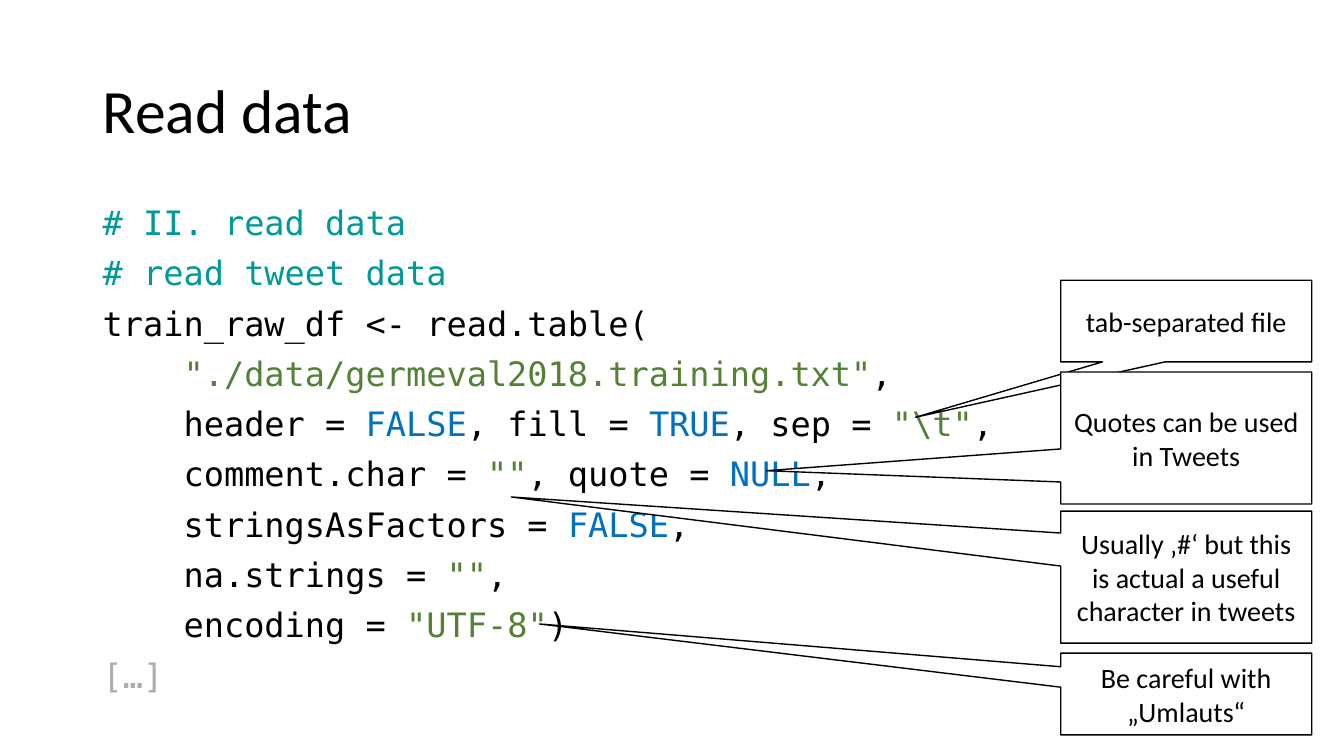
"""Build the "Read data" slide: an R listing with four explanatory callouts."""
from pptx import Presentation
from pptx.dml.color import RGBColor
from pptx.enum.shapes import MSO_SHAPE
from pptx.enum.text import MSO_ANCHOR, PP_ALIGN
from pptx.util import Inches, Pt

CALLOUT = MSO_SHAPE.RECTANGULAR_CALLOUT
TOP, MIDDLE = MSO_ANCHOR.TOP, MSO_ANCHOR.MIDDLE
LEFT, CENTER = PP_ALIGN.LEFT, PP_ALIGN.CENTER
BLACK = RGBColor(0x00, 0x00, 0x00)
WHITE = RGBColor(0xFF, 0xFF, 0xFF)
COMMENT = RGBColor(0x00, 0x99, 0x99)
STRING = RGBColor(0x54, 0x82, 0x35)
CONSTANT = RGBColor(0x00, 0x70, 0xC0)
MUTED = RGBColor(0xAF, 0xAB, 0xAB)

TITLE = [[("Read data", BLACK)]]
CODE = [
    [("# II. read data", COMMENT)],
    [("# read tweet data", COMMENT)],
    [("train_raw_df <- read.table(", BLACK)],
    [('    "./data/germeval2018.training.txt"', STRING), (",", BLACK)],
    [("    header = ", BLACK), ("FALSE", CONSTANT), (", fill = ", BLACK),
     ("TRUE", CONSTANT), (", sep = ", BLACK), ('"\\t"', STRING), (",", BLACK)],
    [("    comment.char = ", BLACK), ('""', STRING), (", quote = ", BLACK),
     ("NULL", CONSTANT), (",", BLACK)],
    [("    stringsAsFactors = ", BLACK), ("FALSE", CONSTANT), (",", BLACK)],
    [("    na.strings = ", BLACK), ('""', STRING), (",", BLACK)],
    [("    encoding = ", BLACK), ('"UTF-8"', STRING), (")", BLACK)],
    [("[…]", MUTED)],
]
TITLE_FONT = {"name": "Calibri", "size": Pt(44)}
CODE_FONT = {"name": "DejaVu Sans Mono", "size": Pt(24)}
NOTE_FONT = {"name": "Calibri", "size": Pt(20)}

NOTE_LEFT, NOTE_WIDTH = 10.52, 2.49
NOTES = [
    {"text": "Usually ‚#‘ but this is actual a useful character in tweets",
     "top": 5.07, "height": 1.31, "tip": (5.07, 4.93)},
    {"text": "tab-separated file",
     "top": 2.78, "height": 0.81, "tip": (9.08, 4.14)},
    {"text": "Quotes can be used in Tweets",
     "top": 3.69, "height": 1.31, "tip": (7.6, 4.67)},
    {"text": "Be careful with „Umlauts“",
     "top": 6.48, "height": 0.81, "tip": (5.35, 6.19)},
]


def write(frame, lines, font, anchor, align, line_spacing=1.0, gap=0):
    """Fill a text frame with lines made of coloured spans."""
    frame.word_wrap = True
    frame.vertical_anchor = anchor
    for index, line in enumerate(lines):
        para = frame.add_paragraph() if index else frame.paragraphs[0]
        para.alignment = align
        para.line_spacing = line_spacing
        para.space_before = Pt(gap if index else 0)
        for text, color in line:
            span = para.add_run()
            span.text = text
            for name, value in font.items():
                setattr(span.font, name, value)
            span.font.color.rgb = color


def add_text(page, top, height, lines, font, anchor, gap=0):
    """Place a text box across the content width."""
    box = page.shapes.add_textbox(
        Inches(0.92), Inches(top), Inches(11.5), Inches(height))
    write(box.text_frame, lines, font, anchor, LEFT, 0.9, gap)


def add_note(page, text, top, height, tip):
    """Place a callout whose pointer ends at the tip."""
    note = page.shapes.add_shape(
        CALLOUT, Inches(NOTE_LEFT), Inches(top),
        Inches(NOTE_WIDTH), Inches(height))
    note.adjustments[0] = (tip[0] - NOTE_LEFT) / NOTE_WIDTH - 0.5
    note.adjustments[1] = (tip[1] - top) / height - 0.5
    note.shadow.inherit = False
    note.fill.solid()
    note.fill.fore_color.rgb = WHITE
    note.line.color.rgb = BLACK
    note.line.width = Pt(1)
    write(note.text_frame, [[(text, BLACK)]], NOTE_FONT, MIDDLE, CENTER)


def main():
    """Assemble and save the deck."""
    deck = Presentation()
    deck.slide_width, deck.slide_height = Inches(13.33), Inches(7.5)
    page = deck.slides.add_slide(deck.slide_layouts[6])
    add_text(page, 0.4, 1.45, TITLE, TITLE_FONT, MIDDLE)
    add_text(page, 2, 5.34, CODE, CODE_FONT, TOP, gap=10)
    for note in NOTES:
        add_note(page, **note)
    deck.save("out.pptx")


if __name__ == "__main__":
    main()
